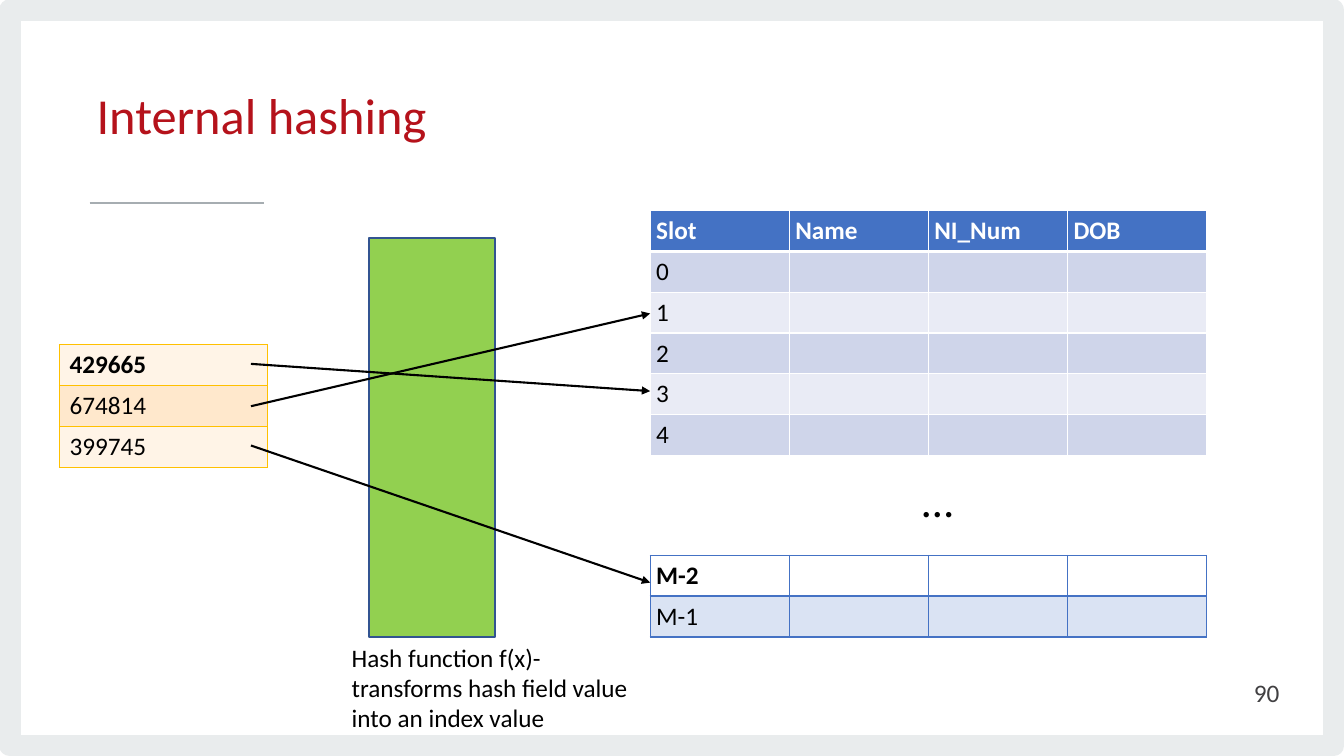
from lxml.etree import SubElement
from pptx import Presentation
from pptx.dml.color import RGBColor
from pptx.enum.shapes import MSO_CONNECTOR as Connector, MSO_SHAPE as Shape
from pptx.enum.text import MSO_ANCHOR as Anchor, PP_ALIGN as Align
from pptx.oxml import parse_xml
from pptx.oxml.ns import nsdecls, qn
from pptx.util import Inches, Pt

BLACK, WHITE, BLUE, AMBER = "000000", "FFFFFF", "4472C4", "FFC000"
PALE_BLUE, BLUE_BAND, LIGHT_BAND = "DAE3F3", "CFD5EA", "E9EBF5"
RECORD_LEFT, RECORD_COLUMN, TABLE_ROW = 64.5, 13.8, 4.05


def colour(code):
    return RGBColor.from_string(code)


def grid(count):
    """Length of a number of grid columns or rows, ten to the inch."""
    return Inches(count / 10)


class SlideBuilder:
    font = "Calibri"
    size = 18

    def __init__(self, columns, rows):
        self.deck = Presentation()
        self.deck.slide_width, self.deck.slide_height = grid(columns), grid(rows)
        self.page = self.deck.slides.add_slide(self.deck.slide_layouts[6])

    def add_span(self, para, text, size=None, ink=BLACK, bold=False):
        span = para.add_run()
        span.text = text
        span.font.name, span.font.size = self.font, Pt(size or self.size)
        span.font.bold, span.font.color.rgb = bold, colour(ink)

    def text(self, area, text, size=None, ink=BLACK, anchor=Anchor.TOP, align=Align.LEFT):
        box = self.page.shapes.add_textbox(*map(grid, area))
        frame = box.text_frame
        frame.word_wrap, frame.vertical_anchor = True, anchor
        para = frame.paragraphs[0]
        para.alignment = align
        self.add_span(para, text, size, ink)
        return para

    def stroke(self, shape, ink, width):
        shape.line.color.rgb, shape.line.width = colour(ink), Pt(width)

    def frame(self, left, top, right, bottom, ink, width):
        pen = self.page.shapes.build_freeform(grid(left), grid(bottom))
        corners = [(right, bottom), (right, top), (left, top)]
        pen.add_line_segments([(grid(x), grid(y)) for x, y in corners], close=True)
        border = pen.convert_to_shape()
        border.shadow.inherit = False
        border.fill.background()
        self.stroke(border, ink, width)
        SubElement(border.line._get_or_add_ln(), qn("a:round"))

    def rectangle(self, area, fill, ink):
        box = self.page.shapes.add_shape(Shape.RECTANGLE, *map(grid, area))
        box.shadow.inherit = False
        box.fill.solid()
        box.fill.fore_color.rgb = colour(fill)
        self.stroke(box, ink, 1)

    def line(self, start, end, ink, width, arrow=False):
        link = self.page.shapes.add_connector(
            Connector.STRAIGHT, *map(grid, (*start, *end)))
        self.stroke(link, ink, width)
        if arrow:
            SubElement(link.line._get_or_add_ln(), qn("a:tailEnd"), type="triangle")
        SubElement(link._element.spPr, qn("a:effectLst"))

    def borders(self, cell, ink, widths):
        properties = cell._tc.get_or_add_tcPr()
        for place, (side, width) in enumerate(zip("LRTB", widths)):
            properties.insert(place, parse_xml(
                f'<a:ln{side} {nsdecls("a")} w="{Pt(width)}"><a:solidFill>'
                f'<a:srgbClr val="{ink}"/></a:solidFill></a:ln{side}>'))

    def table(self, left, top, column, rows, fills, rule, head_rule=1, head_ink=BLACK, inset=1):
        """Draw a table whose first row is bold, with one fill per row."""
        across, down = len(rows[0]), len(rows)
        grid_table = self.page.shapes.add_table(
            down, across, grid(left), grid(top),
            grid(column * across), grid(TABLE_ROW * down)).table
        grid_table.first_row = grid_table.horz_banding = False
        for r, (row, fill) in enumerate(zip(rows, fills)):
            grid_table.rows[r].height = grid(TABLE_ROW)
            head = r == 0
            widths = (1, 1, head_rule if r == 1 else 1, head_rule if head else 1)
            for c, text in enumerate(row):
                cell = grid_table.cell(r, c)
                cell.margin_left = cell.margin_right = grid(inset)
                cell.fill.solid()
                cell.fill.fore_color.rgb = colour(fill)
                self.borders(cell, rule, widths)
                if text:
                    self.add_span(cell.text_frame.paragraphs[0], text,
                                  ink=head_ink if head else BLACK, bold=head)


def record(slot):
    return [slot, "", "", ""]


def main():
    slide = SlideBuilder(133.33, 75)

    # Page frame, heading and number
    slide.frame(1, 1, 132.3, 74, "E9ECED", 15.11)
    slide.line((8.9, 20.1), (26.2, 20.1), "A6ADB1", 1.33)
    title = slide.text((8.6, 5.2, 87.9, 13.4), "Internal hashing", 36, "B5121B", Anchor.MIDDLE)
    title.line_spacing, title.space_before = Pt(34.7), Pt(7.5)
    slide.text((97.9, 66.7, 30, 4), "90", ink="414042", anchor=Anchor.MIDDLE, align=Align.RIGHT)

    # Hash table: first slots, gap, last slots
    slots = [["Slot", "Name", "NI_Num", "DOB"]] + [record(str(n)) for n in range(5)]
    bands = [BLUE] + [(BLUE_BAND, LIGHT_BAND)[n % 2] for n in range(5)]
    slide.table(RECORD_LEFT, 20.9, RECORD_COLUMN, slots, bands, WHITE,
                head_rule=3, head_ink=WHITE, inset=0.6)
    slide.table(RECORD_LEFT, 55.1, RECORD_COLUMN, [record("M-2"), record("M-1")],
                [WHITE, PALE_BLUE], BLUE, head_rule=2, inset=0.6)
    slide.text((90.5, 46.4, 12, 6.4), "…", 32)

    # Keys
    slide.table(5.9, 34.2, 20.6, [["429665"], ["674814"], ["399745"]],
                ["FFF4E7", "FFE8CC", "FFF4E7"], AMBER)

    # Hash function
    slide.rectangle((36.6, 23.6, 12.5, 39.6), "92D050", "325491")
    slide.text((33.9, 63.2, 30, 10.1),
               "Hash function f(x)- transforms hash field value into an index value")

    # Arrows from key to slot
    for key_row, slot_row in [(36.1, 38.8), (40.3, 31.1), (44.2, 57.8)]:
        slide.line((24.9, key_row), (RECORD_LEFT, slot_row), BLACK, 1.5, arrow=True)

    slide.deck.save("out.pptx")


if __name__ == "__main__":
    main()
